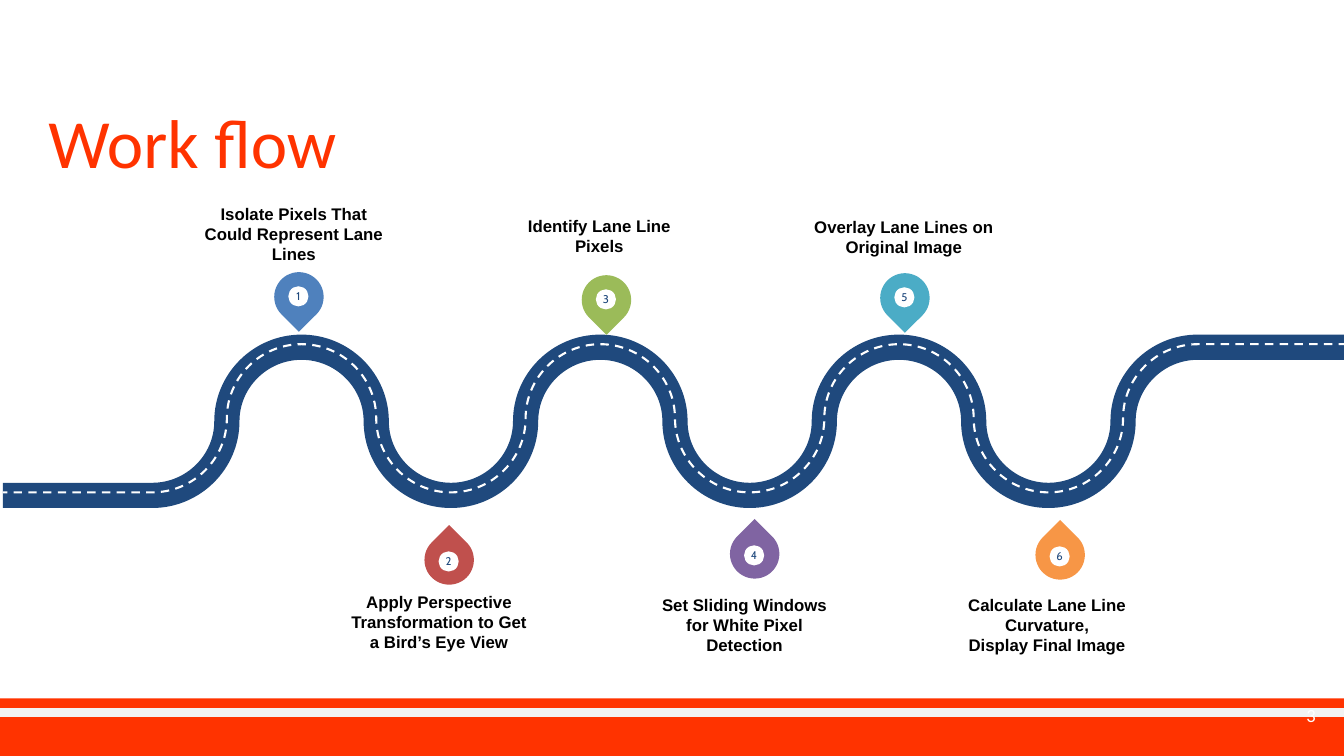
from dataclasses import dataclass
from itertools import pairwise

from lxml.etree import SubElement
from pptx import Presentation
from pptx.dml.color import RGBColor
from pptx.enum.dml import MSO_LINE
from pptx.enum.shapes import MSO_SHAPE as Shape
from pptx.enum.text import MSO_ANCHOR as Anchor, MSO_AUTO_SIZE as Fit, PP_ALIGN as Align
from pptx.oxml.ns import qn
from pptx.util import Inches, Pt

HUES = {
    "red": "FF3300", "pale": "F2F2F2", "white": "FFFFFF", "black": "000000",
    "navy": "1F497D", "blue": "4F81BD", "brick": "C0504D", "green": "9BBB59",
    "plum": "8064A2", "teal": "4BACC6", "gold": "F79646",
}
PIN, DOT = 0.49, 0.2
LABEL_W, LABEL_H = 1.87, 0.78
ROAD_L, ROAD_R, ROAD_H = 0.03, 13.36, 1.47
BEND_L, BEND_R, ARCS = 1.51, 11.88, 14  # span of the quarter arcs and their count
ROUND = 0.55  # control length of a quarter arc, as part of its radius


@dataclass
class Step:
    num: str
    text: str
    hue: str
    pin: tuple[float, float]
    label: tuple[float, float]
    above: bool


STEPS = [
    Step("1", "Isolate Pixels That Could Represent Lane Lines", "blue",
         (2.72, 2.7), (1.98, 1.84), True),
    Step("2", "Apply Perspective Transformation to Get a Bird’s Eye View", "brick",
         (4.21, 5.31), (3.42, 5.87), False),
    Step("3", "Identify Lane Line Pixels", "green", (5.77, 2.73), (5.01, 1.76), True),
    Step("4", "Set Sliding Windows for White Pixel Detection", "plum",
         (7.24, 5.25), (6.45, 5.9), False),
    Step("5", "Overlay Lane Lines on Original Image", "teal",
         (8.73, 2.71), (8.03, 1.77), True),
    Step("6", "Calculate Lane Line Curvature,\nDisplay Final Image", "gold",
         (10.27, 5.26), (9.45, 5.9), False),
]


def color(name: str) -> RGBColor:
    return RGBColor.from_string(HUES[name])


def write(shape, text: str, size: float, face: str, hue: str, align=Align.CENTER,
          anchor=Anchor.MIDDLE, bold: bool = False, wrap: bool = True) -> None:
    frame = shape.text_frame
    frame.text = text
    frame.auto_size = Fit.NONE
    frame.word_wrap = wrap
    frame.vertical_anchor = anchor
    frame.margin_left = frame.margin_right = frame.margin_top = frame.margin_bottom = 0
    for para in frame.paragraphs:
        para.alignment = align
        for run in para.runs:
            run.font.size = Pt(size)
            run.font.name = face
            run.font.bold = bold
            run.font.color.rgb = color(hue)


def solid(shapes, kind, x: float, y: float, w: float, h: float, hue: str):
    shape = shapes.add_shape(kind, Inches(x), Inches(y), Inches(w), Inches(h))
    shape.shadow.inherit = False
    shape.fill.solid()
    shape.fill.fore_color.rgb = color(hue)
    shape.line.fill.background()
    return shape


def box(shapes, x: float, y: float, w: float, h: float):
    return shapes.add_textbox(Inches(x), Inches(y), Inches(w), Inches(h))


def footer(shapes) -> None:
    solid(shapes, Shape.RECTANGLE, -0.02, 6.93, 13.36, 0.57, "red")
    rule = shapes.add_connector(1, Inches(-0.02), Inches(7.07), Inches(13.33), Inches(7.07))
    rule.line.color.rgb = color("pale")
    rule.line.width = Pt(6)
    SubElement(rule._element.spPr, qn("a:effectLst"))
    write(box(shapes, 12.25, 6.81, 0.8, 0.57), "3", 13.3, "Calibri", "white", Align.RIGHT)


def curve(shape) -> None:
    """Turn every line between the two end straights into a quarter arc."""
    nodes = list(shape._element.iter(qn("a:pt")))
    spots = [(int(node.get("x")), int(node.get("y"))) for node in nodes]
    for turn, ((x0, y0), (x1, y1)) in enumerate(pairwise(spots[1:-1])):
        line = nodes[turn + 2].getparent()
        dx, dy = ROUND * (x1 - x0), ROUND * (y1 - y0)
        if turn % 2 == 0:
            grips = (x0 + dx, y0), (x1, y1 - dy)
        else:
            grips = (x0, y0 + dy), (x1 - dx, y1)
        line.tag = qn("a:cubicBezTo")
        for place, (x, y) in enumerate(grips):
            grip = SubElement(line, qn("a:pt"), x=str(round(x)), y=str(round(y)))
            line.insert(place, grip)


def road(shapes, mid: float, hue: str, width: float, dash=None) -> None:
    bend, pitch = ROAD_H / 2, (BEND_R - BEND_L) / ARCS
    sides = (-1, 0, 1, 0)
    turns = [(BEND_R - pitch * i, mid + bend * sides[i % 4]) for i in range(ARCS + 1)]
    points = [(ROAD_R, mid - bend), *turns, (ROAD_L, mid + bend)]
    spots = [(Inches(x), Inches(y)) for x, y in points]
    pen = shapes.build_freeform(*spots[0])
    pen.add_line_segments(spots[1:], close=False)
    path = pen.convert_to_shape()
    curve(path)
    path.shadow.inherit = False
    path.fill.background()
    path.line.color.rgb = color(hue)
    path.line.width = Pt(width)
    if dash:
        path.line.dash_style = dash


def marker(shapes, step: Step) -> None:
    group = shapes.add_group_shape().shapes
    x, y = step.pin
    drop = solid(group, Shape.TEAR, x, y, PIN, PIN, step.hue)
    drop.rotation = 135 if step.above else 315
    drift = 0.14 if step.above else 0.16
    dot = solid(group, Shape.OVAL, x + 0.14, y + drift, DOT, DOT, "white")
    write(dot, step.num, 8, "Cabin", "navy", wrap=False)


def label(shapes, step: Step) -> None:
    anchor = Anchor.BOTTOM if step.above else Anchor.TOP
    write(box(shapes, *step.label, LABEL_W, LABEL_H), step.text, 12, "Arial",
          "black", anchor=anchor, bold=True)


def main() -> None:
    deck = Presentation()
    deck.slide_width, deck.slide_height = Inches(13.33), Inches(7.5)
    slide = deck.slides.add_slide(deck.slide_layouts[5])
    shapes = slide.shapes
    title = shapes.title
    title.left, title.top = Inches(0.48), Inches(1.24)
    title.width, title.height = Inches(10.85), Inches(0.58)
    write(title, "Work flow", 49.3, "Calibri", "red", Align.LEFT, Anchor.BOTTOM)
    title.text_frame.paragraphs[0].line_spacing = 0.9
    footer(shapes)
    road(shapes, 4.18, "navy", 18)
    road(shapes, 4.15, "white", 1.5, MSO_LINE.DASH)
    for step in STEPS:
        marker(shapes, step)
        label(shapes, step)
    deck.save("out.pptx")


if __name__ == "__main__":
    main()
